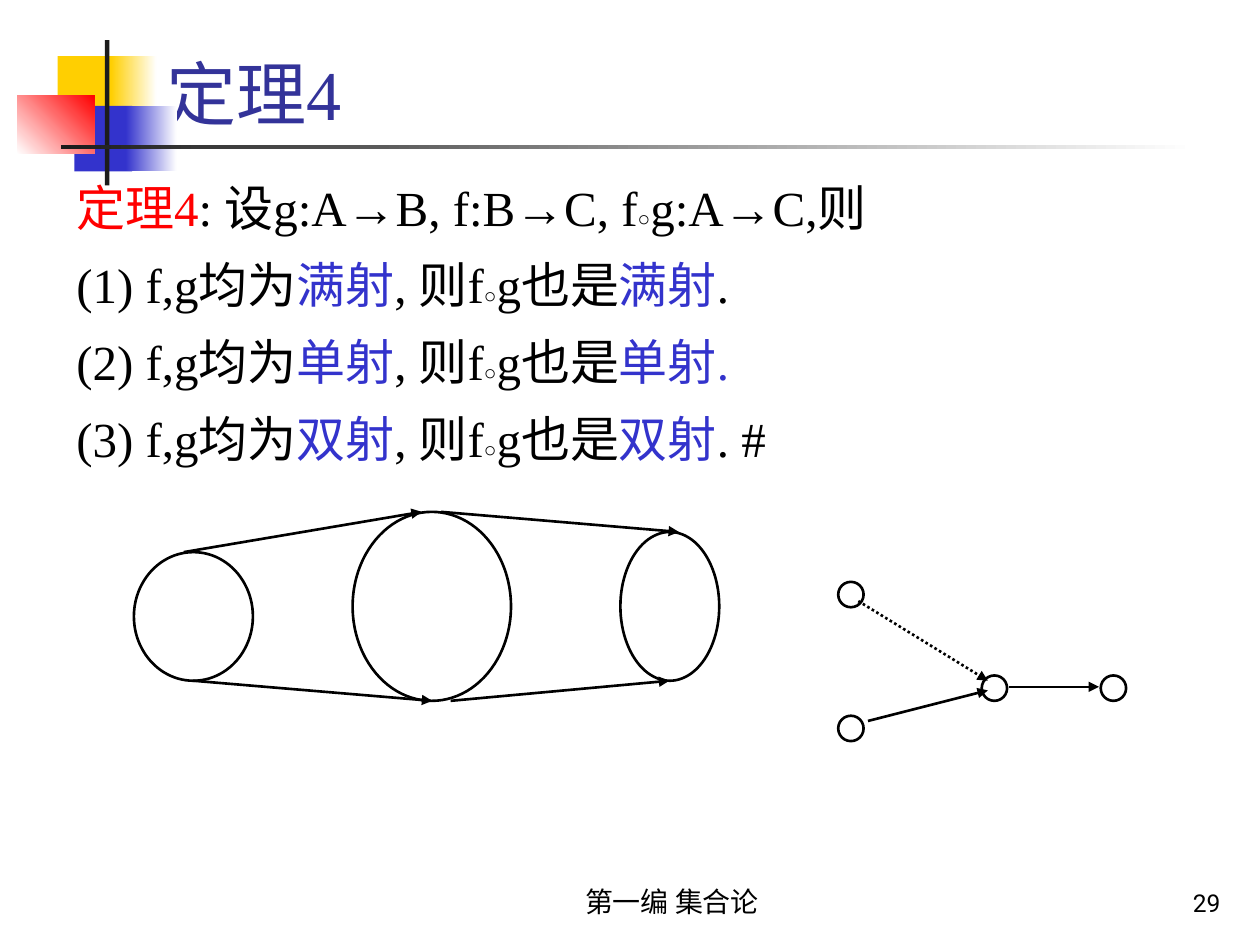
from lxml.etree import SubElement
from pptx import Presentation
from pptx.dml.color import RGBColor
from pptx.enum.dml import MSO_LINE_DASH_STYLE as Dash
from pptx.enum.shapes import MSO_CONNECTOR as Connector, MSO_SHAPE as Shape
from pptx.enum.text import MSO_ANCHOR as Anchor, PP_ALIGN as Align
from pptx.oxml.ns import qn
from pptx.util import Pt

COLORS = {
    "black": "000000", "white": "FFFFFF", "ink": "1C1C1C", "gold": "FFCF01",
    "blue": "3333CC", "red": "FF0000", "title": "333399",
}
SERIF = "Times New Roman"
SANS = "Roboto"


def rgb(name):
    return RGBColor.from_string(COLORS[name])


class SlideBuilder:
    line_width = 1.5

    def __init__(self, slide):
        self.slide = slide

    def style(self, run, size, color="black", font=SERIF):
        run.font.size = Pt(size)
        run.font.name = font
        run.font.color.rgb = rgb(color)

    def title(self, text, box, size):
        heading = self.slide.shapes.title
        heading.left, heading.top, heading.width, heading.height = map(Pt, box)
        frame = heading.text_frame
        frame.text = text
        frame.vertical_anchor = Anchor.BOTTOM
        frame.paragraphs[0].alignment = Align.LEFT
        self.style(frame.paragraphs[0].runs[0], size, "title")

    def text(self, box, lines, align=Align.LEFT, anchor=Anchor.TOP,
             spacing=1.0, before=0, hanging=0):
        frame = self.slide.shapes.add_textbox(*map(Pt, box)).text_frame
        frame.word_wrap = True
        frame.vertical_anchor = anchor
        for index, pieces in enumerate(lines):
            paragraph = frame.add_paragraph() if index else frame.paragraphs[0]
            paragraph.alignment = align
            paragraph.line_spacing = spacing
            if index:
                paragraph.space_before = Pt(before)
            if hanging:
                properties = paragraph._p.get_or_add_pPr()
                properties.set("marL", str(Pt(hanging)))
                properties.set("indent", str(-Pt(hanging)))
            for words, *look in pieces:
                run = paragraph.add_run()
                run.text = words
                self.style(run, *look)

    def block(self, box, start, end=None, angle=0):
        block = self.slide.shapes.add_shape(Shape.RECTANGLE, *map(Pt, box))
        block.shadow.inherit = False
        block.line.fill.background()
        if end is None:
            block.fill.solid()
            block.fill.fore_color.rgb = rgb(start)
            return
        block.fill.gradient()
        block.fill.gradient_angle = angle
        for stop, color in zip(block.fill.gradient_stops, (start, end)):
            stop.color.rgb = rgb(color)

    def ellipse(self, box):
        ellipse = self.slide.shapes.add_shape(Shape.OVAL, *map(Pt, box))
        ellipse.shadow.inherit = False
        ellipse.fill.background()
        ellipse.line.color.rgb = rgb("black")
        ellipse.line.width = Pt(self.line_width)

    def arrow(self, start, end, dash=None):
        arrow = self.slide.shapes.add_connector(
            Connector.STRAIGHT, *map(Pt, (*start, *end)))
        arrow.line.color.rgb = rgb("black")
        arrow.line.width = Pt(self.line_width)
        if dash:
            arrow.line.dash_style = dash
        SubElement(arrow.line._get_or_add_ln(), qn("a:tailEnd"), type="triangle")
        SubElement(arrow._element.spPr, qn("a:effectLst"))


def theorem_lines(size=28):
    compose = ("○", 12)
    yield [("定理4", size, "red"), (": 设g:A→B, f:B→C, f", size),
           compose, ("g:A→C,则", size)]
    cases = [("满射", ".", "black"), ("单射", ".", "blue"), ("双射", ". #", "black")]
    for number, (kind, ending, color) in enumerate(cases, 1):
        yield [(f"({number}) f,g均为", size), (kind, size, "blue"),
               (", 则f", size), compose, ("g也是", size),
               (kind, size, "blue"), (ending, size, color)]


def main():
    deck = Presentation()
    deck.slide_width, deck.slide_height = Pt(720), Pt(540)
    page = SlideBuilder(deck.slides.add_slide(deck.slide_layouts[5]))

    page.block((33, 32, 34.5, 37.5), "gold")
    page.block((63.5, 32, 26, 37.5), "gold", "white")
    page.block((42.5, 60.5, 33, 37.5), "blue")
    page.block((72, 60.5, 29, 37.5), "blue", "white")
    page.block((10, 54.5, 44, 33.5), "white", "red", 45)
    page.block((60, 23, 2.5, 83), "ink")
    page.block((35, 83, 648, 2), "ink", "white")

    page.title("定理4", (88, 20, 613.5, 60.5), 40)
    page.text((36.5, 94.5, 657.5, 391), theorem_lines(),
              spacing=1.1, before=7, hanging=27)
    page.text((270, 492, 228, 36), [[("第一编 集合论", 16)]],
              Align.CENTER, Anchor.BOTTOM, spacing=1.1)
    page.text((554.5, 492, 150, 36), [[("29", 14, "black", SANS)]],
              Align.RIGHT, Anchor.BOTTOM)

    for set_box in [(76.5, 315.5, 68, 73.5), (201.5, 292.5, 90.5, 108),
                    (354.5, 304, 56.5, 85)]:
        page.ellipse(set_box)
    for start, end in [((105, 315.5), (241, 292.5)), ((110.5, 389), (247, 400.5)),
                       ((252, 292.5), (388, 304)), ((257.5, 400.5), (382.5, 389))]:
        page.arrow(start, end)

    node = 14.5
    for left, top in [(479, 332.5), (479, 409), (561, 386), (629, 386)]:
        page.ellipse((left, top, node, node))
    page.arrow((490.5, 343.5), (564.5, 389), Dash.ROUND_DOT)
    page.arrow((496, 412), (564.5, 394.5))
    page.arrow((576.5, 392.5), (628, 392.5))

    deck.save("out.pptx")


if __name__ == "__main__":
    main()
